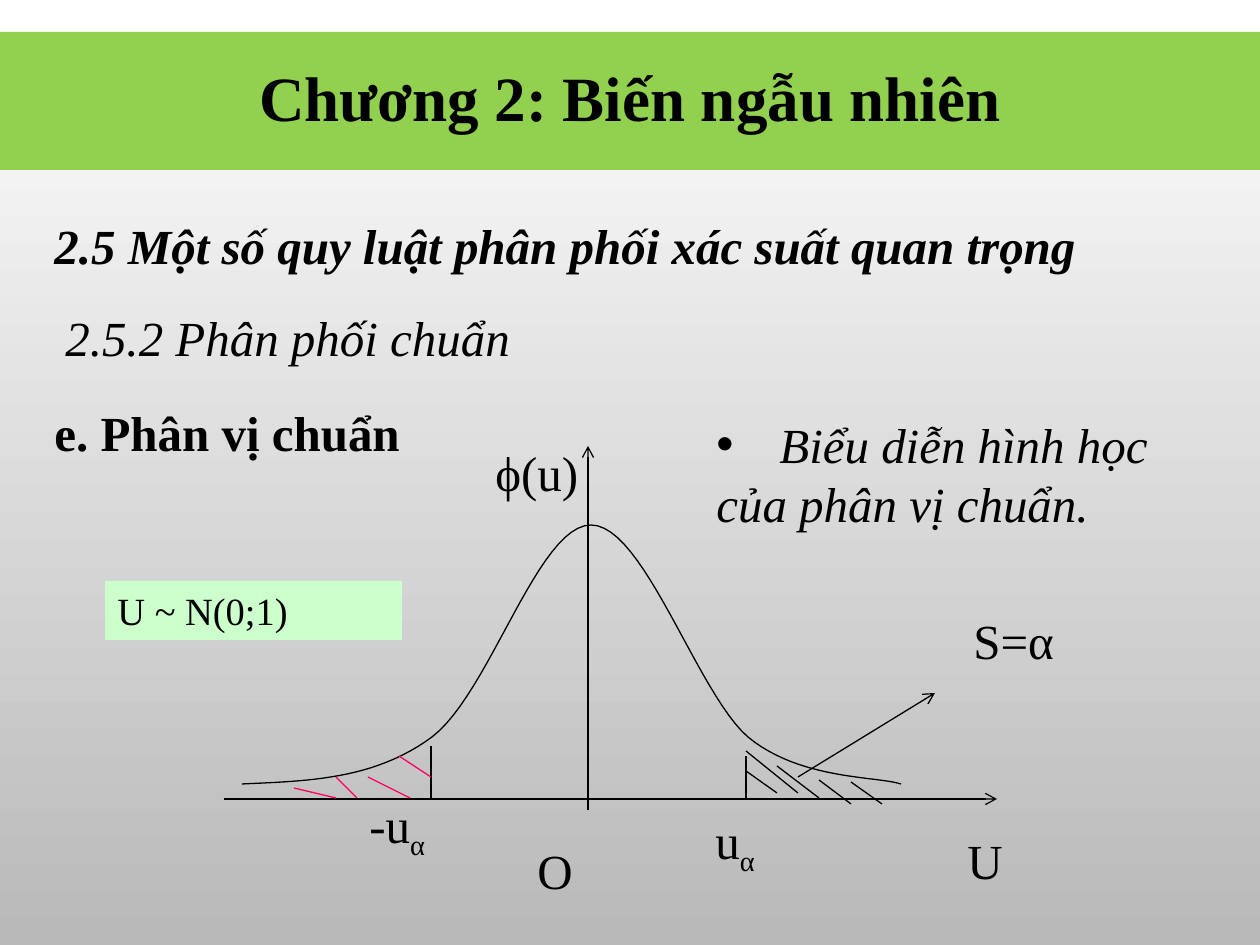
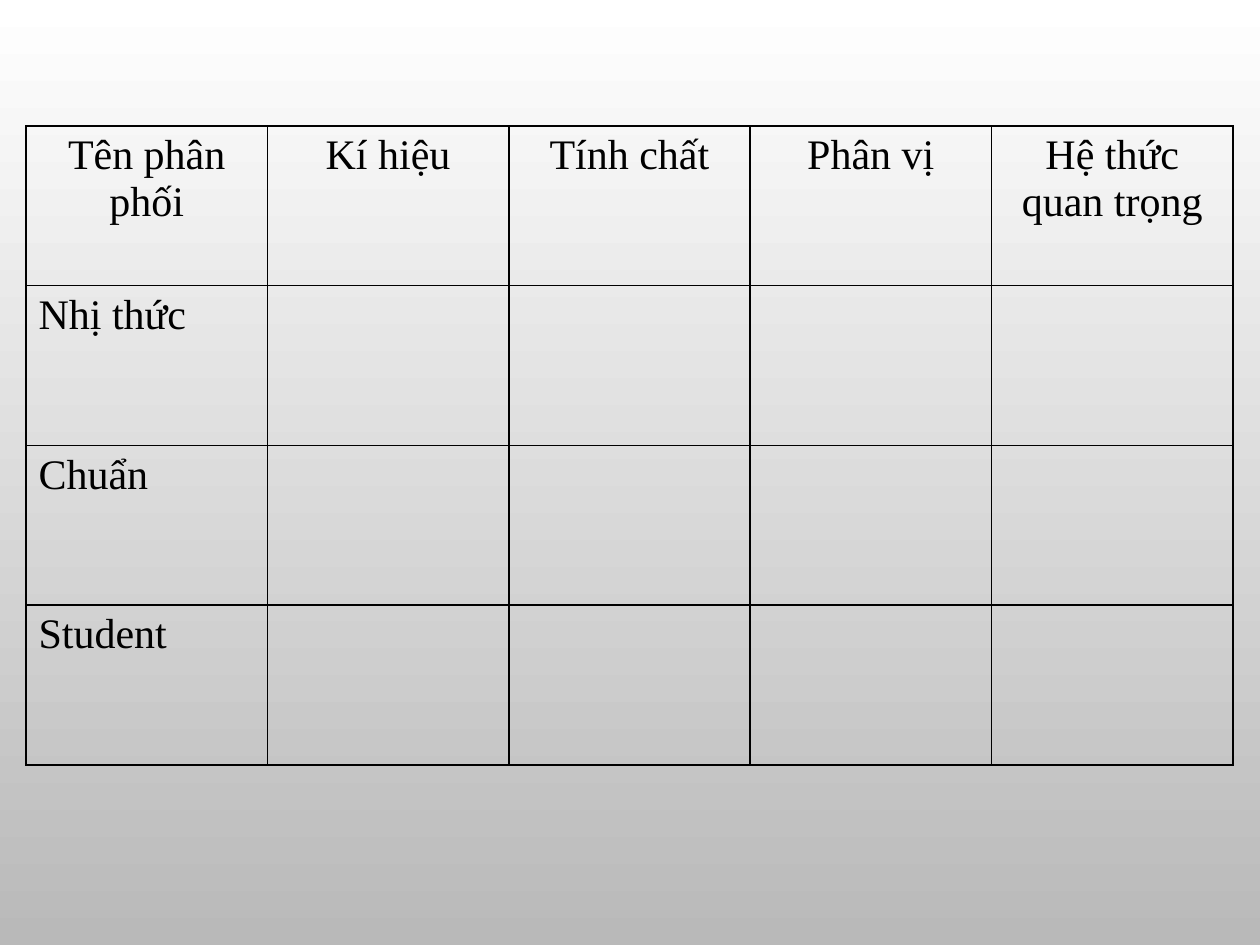
from dataclasses import dataclass

from lxml import etree
from pptx import Presentation
from pptx import util as u
from pptx.dml.color import RGBColor
from pptx.enum import shapes, text
from pptx.oxml.ns import qn

PX = 914400 / 126


@dataclass(frozen=True)
class Theme:
    font: str = "Times New Roman"
    ink: RGBColor = RGBColor(0x00, 0x00, 0x00)
    band: RGBColor = RGBColor(0x92, 0xD0, 0x50)
    note: RGBColor = RGBColor(0xCC, 0xFF, 0xCC)
    left_tail: RGBColor = RGBColor(0xFF, 0x00, 0x66)
    page_top: RGBColor = RGBColor(0xFF, 0xFF, 0xFF)
    page_bottom: RGBColor = RGBColor(0xB9, 0xB9, 0xB9)
    title_size: int = 36
    body_size: int = 28
    table_size: int = 24
    note_size: int = 22
    line: float = 0.75
    border: int = 12700


theme = Theme()


def px(*lengths):
    return [u.Emu(round(length * PX)) for length in lengths]


def write(frame, words, size=theme.body_size, subscript="", paragraph_format=None, **font_format):
    """Fill a text frame, one paragraph per line of words; subscript ends the last one."""
    for number, line in enumerate(words.split("\n")):
        paragraph = frame.add_paragraph() if number else frame.paragraphs[0]
        for name, value in (paragraph_format or {}).items():
            setattr(paragraph, name, value)
        paragraph.add_run().text = line
    if subscript:
        low = paragraph.add_run()
        low.text = subscript
        low._r.get_or_add_rPr().set("baseline", "-25000")
    for paragraph in frame.paragraphs:
        for run in paragraph.runs:
            run.font.color.rgb = theme.ink
            values = {"name": theme.font, "size": u.Pt(size), **font_format}
            for name, value in values.items():
                setattr(run.font, name, value)


prs = Presentation()
prs.slide_width, prs.slide_height = px(1260, 945)

# Shared page background
page = prs.slide_master.background.fill
page.gradient()
page.gradient_angle = 270
for stop, position, color in zip(page.gradient_stops, (0, 1), (theme.page_top, theme.page_bottom)):
    stop.position = position
    stop.color.rgb = color

blank = prs.slide_layouts[6]

# Slide 1: standard normal quantile
quantile = prs.slides.add_slide(blank)

# Density curve, sampled from Bézier pieces that share end points
controls = [(242, 784), (307, 781), (374, 780), (432, 737), (490, 693), (538, 525), (591, 525),
            (644, 525), (697, 693), (748, 737), (800, 780), (876, 776), (901, 784)]
steps = 24
curve_points = []
for first in range(0, len(controls) - 1, 3):
    piece = controls[first:first + 4]
    for step in range(1, steps + 1):
        t = step / steps
        weights = ((1 - t) ** 3, 3 * t * (1 - t) ** 2, 3 * t ** 2 * (1 - t), t ** 3)
        curve_points.append(px(*(sum(w * point[axis] for w, point in zip(weights, piece))
                                 for axis in (0, 1))))
builder = quantile.shapes.build_freeform(*px(*controls[0]), scale=1.0)
builder.add_line_segments(curve_points, close=False)
density = builder.convert_to_shape()
density.shadow.inherit = False
density.fill.background()
density.line.color.rgb = theme.ink
density.line.width = u.Pt(theme.line)

# Axes, callout, quantile limits and tail hatching
arrows = [(224, 799, 997, 799), (588, 810, 588, 446), (798, 777, 935, 693)]
limits = [(431, 746, 431, 798), (746, 756, 746, 798)]
right_hatch = [(819, 798, 777, 766), (819, 780, 851, 804), (851, 782, 882, 804),
               (746, 751, 798, 793), (746, 771, 777, 793)]
left_hatch = [(294, 788, 336, 798), (336, 777, 357, 798),
              (368, 777, 410, 798), (399, 756, 431, 777)]
for group, color, has_arrow in (
    (arrows, theme.ink, True),
    (limits + right_hatch, theme.ink, False),
    (left_hatch, theme.left_tail, False),
):
    for ends in group:
        stroke = quantile.shapes.add_connector(shapes.MSO_CONNECTOR.STRAIGHT, *px(*ends))
        stroke.line.color.rgb = color
        stroke.line.width = u.Pt(theme.line)
        if has_arrow:
            etree.SubElement(stroke.line._get_or_add_ln(), qn("a:tailEnd"), type="arrow")
        etree.SubElement(stroke._element.spPr, qn("a:effectLst"))

# Diagram labels
for place, label, subscript in (
    ((961, 604, 151, 78), "S=α", ""),
    ((955, 824, 88, 69), "U", ""),
    ((525, 834, 127, 78), "O", ""),
    ((483, 436, 147, 78), "ϕ(u)", ""),
    ((703, 804, 88, 78), "u", "α"),
    ((357, 788, 126, 78), "-u", "α"),
):
    frame = quantile.shapes.add_textbox(*px(*place)).text_frame
    frame.word_wrap = True
    write(frame, label, subscript=subscript)

# Headings
for place, heading, anchor, paragraph_format, font_format in (
    ((42, 209, 1091, 72), "2.5 Một số quy luật phân phối xác suất quan trọng",
     text.MSO_ANCHOR.TOP, {}, {"bold": True, "italic": True}),
    ((53, 301, 861, 72), "2.5.2 Phân phối chuẩn",
     text.MSO_ANCHOR.MIDDLE, {}, {"italic": True}),
    ((42, 373, 420, 89), "e. Phân vị chuẩn",
     text.MSO_ANCHOR.MIDDLE, {"line_spacing": 1.5}, {"bold": True}),
):
    frame = quantile.shapes.add_textbox(*px(*place)).text_frame
    frame.word_wrap = True
    frame.vertical_anchor = anchor
    write(frame, heading, paragraph_format=paragraph_format, **font_format)

# Bulleted remark
remark = quantile.shapes.add_textbox(*px(704, 408, 461, 131)).text_frame
remark.word_wrap = False
write(remark, "Biểu diễn hình học\ncủa phân vị chuẩn.", italic=True)
bullet = remark.paragraphs[0]._p.get_or_add_pPr()
bullet.set("marL", str(u.Inches(0.5)))
bullet.set("indent", str(-u.Inches(0.5)))
etree.SubElement(bullet, qn("a:buFont"), typeface="Arial")
etree.SubElement(bullet, qn("a:buChar"), char="•")

# Filled boxes: distribution note and title band
for place, words, color, size, anchor, paragraph_format, bold in (
    ((105, 581, 297, 59), "U ~ N(0;1)", theme.note, theme.note_size, text.MSO_ANCHOR.TOP,
     {"alignment": text.PP_ALIGN.LEFT}, False),
    ((0, 32, 1260, 138), "Chương 2: Biến ngẫu nhiên", theme.band, theme.title_size,
     text.MSO_ANCHOR.MIDDLE, {"alignment": text.PP_ALIGN.CENTER, "line_spacing": 0.9}, True),
):
    box = quantile.shapes.add_shape(shapes.MSO_SHAPE.RECTANGLE, *px(*place))
    box.shadow.inherit = False
    box.fill.solid()
    box.fill.fore_color.rgb = color
    box.line.fill.background()
    box.text_frame.vertical_anchor = anchor
    write(box.text_frame, words, size, paragraph_format=paragraph_format, bold=bold)

# Slide 2: summary table of distributions
summary = prs.slides.add_slide(blank)
headers = ["Tên phân phối", "Kí hiệu", "Tính chất", "Phân vị", "Hệ thức quan trọng"]
distributions = ["Nhị thức", "Chuẩn", "Student"]
grid = summary.shapes.add_table(len(distributions) + 1, len(headers),
                                *px(26, 126, 1207, 639)).table
grid.first_row = False
grid.horz_banding = False
for cell in grid.iter_cells():
    properties = cell._tc.get_or_add_tcPr()
    for side in ("lnL", "lnR", "lnT", "lnB"):
        border = etree.SubElement(properties, qn(f"a:{side}"), w=str(theme.border))
        border_fill = etree.SubElement(border, qn("a:solidFill"))
        etree.SubElement(border_fill, qn("a:srgbClr"), val=str(theme.ink))
    cell.fill.background()
for column, header in enumerate(headers):
    write(grid.cell(0, column).text_frame, header, theme.table_size,
          paragraph_format={"alignment": text.PP_ALIGN.CENTER})
for row, distribution in enumerate(distributions, 1):
    write(grid.cell(row, 0).text_frame, distribution, theme.table_size)

prs.save("out.pptx")
